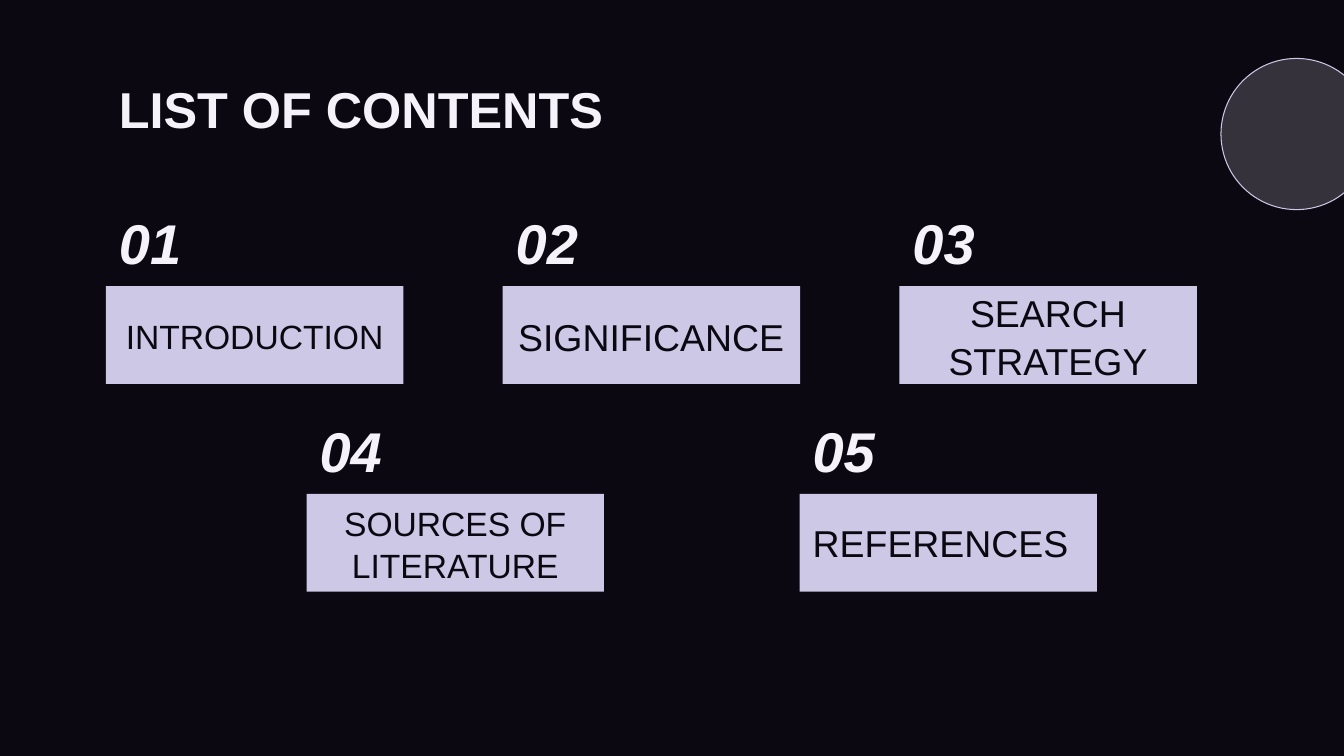
import pptx
import pptx.util
import pptx.dml.color
import pptx.enum.shapes
import pptx.enum.text
import pptx.oxml
import pptx.oxml.ns
from lxml import etree

Inches, Pt = pptx.util.Inches, pptx.util.Pt
RGBColor = pptx.dml.color.RGBColor
SHAPE = pptx.enum.shapes.MSO_SHAPE
ANCHOR = pptx.enum.text.MSO_ANCHOR
ALIGN = pptx.enum.text.PP_ALIGN

NIGHT = RGBColor(0x0B, 0x08, 0x11)
PALE = RGBColor(0xF5, 0xF2, 0xFA)
LILAC = RGBColor(0xCC, 0xC8, 0xE6)

TITLE = "LIST OF CONTENTS"
ROWS = [
    {"left": 1.05, "step": 3.935, "items": [
        ("INTRODUCTION", 24, ALIGN.CENTER),
        ("SIGNIFICANCE", 26.7, ALIGN.CENTER),
        ("SEARCH STRATEGY", 26.7, ALIGN.CENTER)]},
    {"left": 3.04, "step": 4.89, "items": [
        ("SOURCES OF LITERATURE", 24, ALIGN.CENTER),
        ("REFERENCES", 26.7, ALIGN.LEFT)]},
]
TOP, ROW_STEP = 2.08, 2.06
NUMBER_W, NUMBER_H = 1.5, 0.65
CARD_DROP, CARD_W, CARD_H = 0.76, 2.95, 0.97
INSET = 0.13

prs = pptx.Presentation()
prs.slide_width, prs.slide_height = Inches(13.33), Inches(7.5)
s = prs.slides.add_slide(prs.slide_layouts[6])
s.background.fill.solid()
s.background.fill.fore_color.rgb = NIGHT


def write(sp, text, size, color, anchor=ANCHOR.MIDDLE, align=ALIGN.LEFT,
          bold=False, italic=False):
    tf = sp.text_frame
    tf.word_wrap = True
    tf.vertical_anchor = anchor
    tf.margin_left = tf.margin_right = Inches(INSET)
    tf.margin_top = tf.margin_bottom = Inches(INSET)
    p = tf.paragraphs[0]
    p.text = text
    p.alignment = align
    p.line_spacing = 1.06 if align == ALIGN.CENTER else 1.0
    p.font.name, p.font.size = "Arial", Pt(size)
    p.font.bold, p.font.italic = bold, italic
    p.font.color.rgb = color


def add_label(left, top, width, height, text, size, **style):
    sp = s.shapes.add_textbox(*map(Inches, (left, top, width, height)))
    write(sp, text, size, PALE, bold=True, **style)


def add_filled(kind, left, top, width, height, color):
    sp = s.shapes.add_shape(kind, *map(Inches, (left, top, width, height)))
    sp.shadow.inherit = False
    sp.fill.solid()
    sp.fill.fore_color.rgb = color
    sp.line.fill.background()
    return sp


add_label(1.05, 0.65, 11.23, 0.84, TITLE, 36, anchor=ANCHOR.TOP)

number = 0
for i, row in enumerate(ROWS):
    top = TOP + i * ROW_STEP
    for j, (text, size, align) in enumerate(row["items"]):
        number += 1
        left = row["left"] + j * row["step"]
        add_label(left, top, NUMBER_W, NUMBER_H, f"{number:02d}", 40, italic=True)
        card = add_filled(SHAPE.RECTANGLE, left, top + CARD_DROP, CARD_W, CARD_H, LILAC)
        write(card, text, size, NIGHT, align=align)

circle = add_filled(SHAPE.OVAL, 12.11, 0.58, 1.5, 1.5, PALE)
circle.line.color.rgb = LILAC
circle.line.width = Pt(0.75)
qn = pptx.oxml.ns.qn
tint = circle.fill._xPr.find(qn("a:solidFill")).find(qn("a:srgbClr"))
etree.SubElement(tint, qn("a:alpha")).set("val", "18000")

prs.save("out.pptx")
